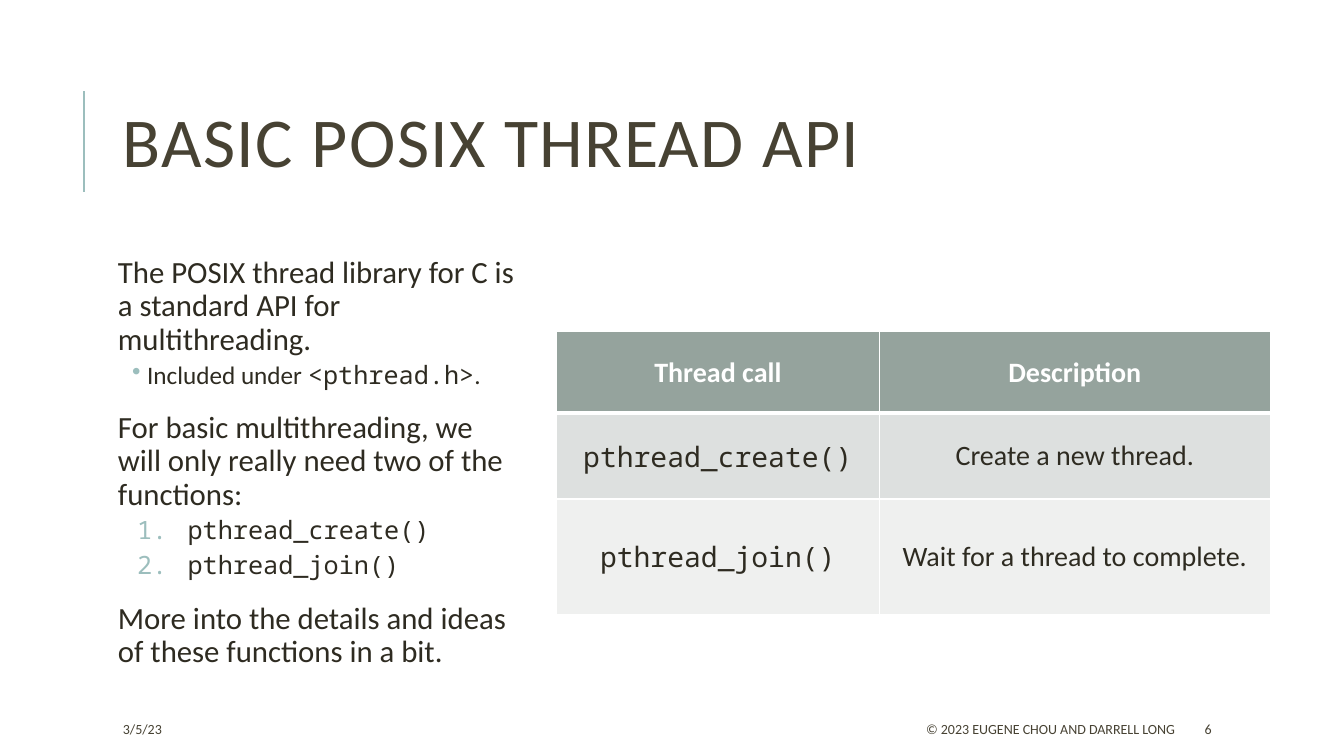
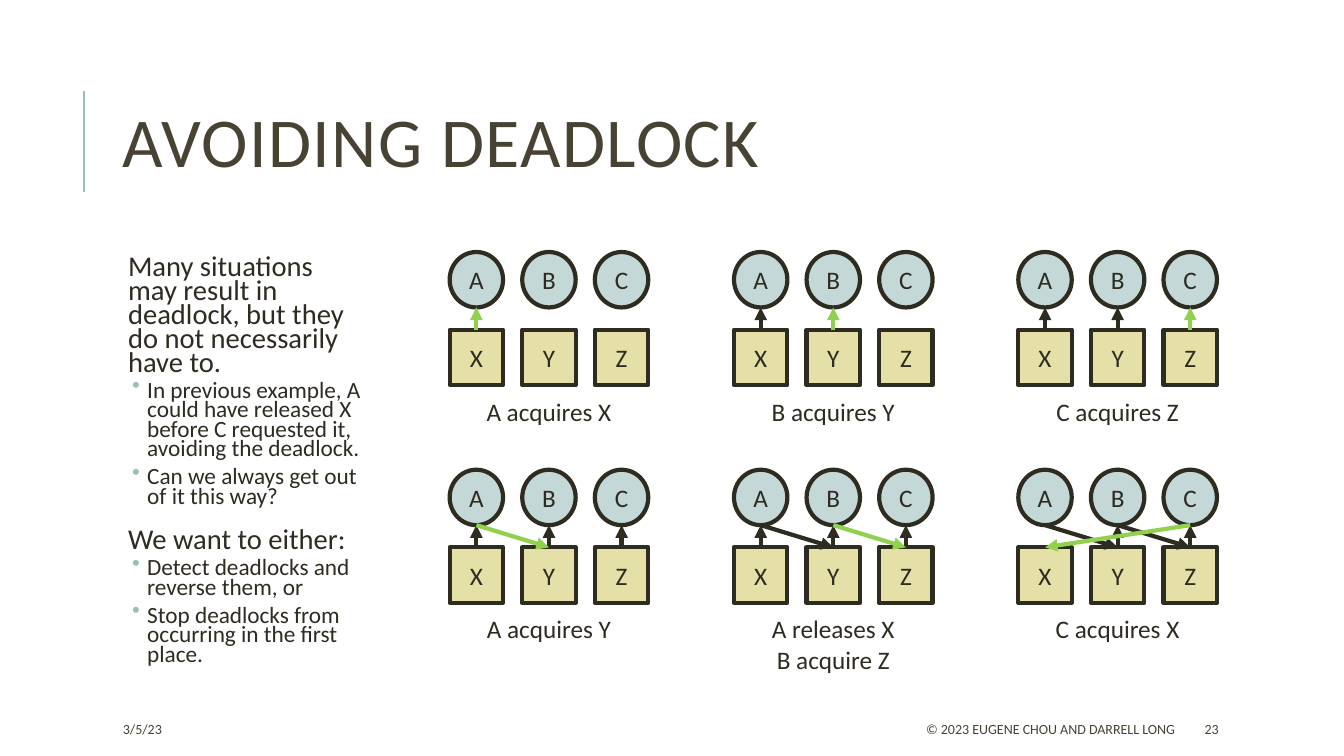
from dataclasses import dataclass
from typing import Any

from lxml.etree import SubElement
from pptx import Presentation
from pptx.dml.color import RGBColor
from pptx.enum.shapes import MSO_CONNECTOR, MSO_SHAPE
from pptx.enum.text import MSO_ANCHOR, PP_ALIGN
from pptx.oxml.ns import qn
from pptx.presentation import Presentation as Deck
from pptx.slide import Slide
from pptx.text.text import TextFrame
from pptx.util import Inches, Pt

LEFT, CENTER, RIGHT = PP_ALIGN.LEFT, PP_ALIGN.CENTER, PP_ALIGN.RIGHT
TOP, MIDDLE = MSO_ANCHOR.TOP, MSO_ANCHOR.MIDDLE
OVAL, RECTANGLE = MSO_SHAPE.OVAL, MSO_SHAPE.RECTANGLE
STRAIGHT = MSO_CONNECTOR.STRAIGHT


@dataclass(frozen=True)
class Theme:
    sans: str = "Calibri"
    mono: str = "Noto Sans Mono"
    ink: RGBColor = RGBColor.from_string("2E2B21")
    heading: RGBColor = RGBColor.from_string("474233")
    accent: RGBColor = RGBColor.from_string("9CBEBD")
    white: RGBColor = RGBColor.from_string("FFFFFF")
    thread: RGBColor = RGBColor.from_string("C4D8D7")
    resource: RGBColor = RGBColor.from_string("E4E0A7")
    new_edge: RGBColor = RGBColor.from_string("92D050")
    table_rows: tuple[RGBColor, ...] = tuple(
        RGBColor.from_string(value) for value in ("95A39D", "DDE0DF", "EFF0EF"))
    title_size: float = 50
    table_size: float = 20
    label_size: float = 18
    footer_size: float = 10


THEME = Theme()


@dataclass(frozen=True)
class Span:
    text: str
    mono: bool = False


@dataclass(frozen=True)
class Line:
    """A body paragraph; marker is "", "•" or "1."."""
    spans: tuple[Span, ...]
    marker: str = ""


@dataclass(frozen=True)
class BodyStyle:
    width: float
    spacing: float
    main_size: float
    sub_size: float
    main_indent: float = 0


@dataclass(frozen=True)
class Panel:
    """Edges are pairs of node letters, from and to."""
    held: tuple[str, ...]
    new: str
    captions: tuple[str, ...]


HANGING = {"•": (0.29, -0.15), "1.": (0.69, -0.5)}
API_STYLE = BodyStyle(width=4.04, spacing=0.9, main_size=22, sub_size=18)
DEADLOCK_STYLE = BodyStyle(2.52, 0.7, 20.4, 16.6, main_indent=0.1)

API_LINES = (
    Line((Span("The POSIX thread library for C is a standard API for multithreading."),)),
    Line((Span("Included under "), Span("<pthread.h>", True), Span(".")), "•"),
    Line((Span("For basic multithreading, we will only really need two of the functions:"),)),
    Line((Span("pthread_create()", True),), "1."),
    Line((Span("pthread_join()", True),), "1."),
    Line((Span("More into the details and ideas of these functions in a bit."),)),
)
DEADLOCK_LINES = (
    Line((Span("Many situations may result in deadlock, but they do not necessarily have to."),)),
    Line((Span("In previous example, A could have released X before C requested it, "
               "avoiding the deadlock."),), "•"),
    Line((Span("Can we always get out of it this way?"),), "•"),
    Line((Span("We want to either:"),)),
    Line((Span("Detect deadlocks and reverse them, or"),), "•"),
    Line((Span("Stop deadlocks from occurring in the first place."),), "•"),
)
CALLS = (
    (Span("Thread call"), Span("Description")),
    (Span("pthread_create()", True), Span("Create a new thread.")),
    (Span("pthread_join()", True), Span("Wait for a thread to complete.")),
)
CALL_COLUMNS = (3.2, 3.88)
CALL_ROWS = (0.81, 0.85, 1.15)

THREADS, RESOURCES = "ABC", "XYZ"
PANELS = (
    Panel((), "XA", ("A acquires X",)),
    Panel(("XA",), "YB", ("B acquires Y",)),
    Panel(("XA", "YB"), "ZC", ("C acquires Z",)),
    Panel(("XA", "YB", "ZC"), "AY", ("A acquires Y",)),
    Panel(("XA", "YB", "ZC", "AY"), "BZ", ("A releases X", "B acquire Z")),
    Panel(("YB", "ZC", "AY", "BZ"), "CX", ("C acquires X",)),
)
PANELS_PER_ROW = 3
PANEL_LEFT, PANEL_TOP = 4.46, 2.5
PANEL_STEP_X, PANEL_STEP_Y = 2.82, 2.16
NODE_WIDTH, NODE_HEIGHT, NODE_STEP = 0.53, 0.55, 0.72
RESOURCE_DROP, CAPTION_DROP, CAPTION_WIDTH = 0.77, 1.38, 1.8


def assign(target: Any, values: dict[str, Any]) -> None:
    for name, value in values.items():
        setattr(target, name, value)


def add_span(para: Any, span: Span, size: float, color: RGBColor, bold: bool = False) -> Any:
    run = para.add_run()
    run.text = span.text
    assign(run.font, {"name": THEME.mono if span.mono else THEME.sans,
                      "size": Pt(size), "bold": bold})
    run.font.color.rgb = color
    return run


def add_box(slide: Slide, left: float, top: float, width: float, height: float,
            anchor: MSO_ANCHOR = MIDDLE) -> TextFrame:
    box = slide.shapes.add_textbox(Inches(left), Inches(top), Inches(width), Inches(height))
    assign(box.text_frame, {"word_wrap": True, "vertical_anchor": anchor})
    return box.text_frame


def add_line(slide: Slide, start: tuple[float, float], end: tuple[float, float],
             color: RGBColor, width: float, arrow: bool = False) -> None:
    line = slide.shapes.add_connector(
        STRAIGHT, *(Inches(value) for value in (*start, *end)))
    line.line.color.rgb = color
    line.line.width = Pt(width)
    if arrow:
        SubElement(line.line._get_or_add_ln(), qn("a:tailEnd"), type="triangle")
    SubElement(line._element.spPr, qn("a:effectLst"))


def add_page(deck: Deck, title: str, number: int) -> Slide:
    slide = deck.slides.add_slide(deck.slide_layouts[6])
    add_line(slide, (0.83, 1.9), (0.83, 0.9), THEME.accent, 1.5)
    para = add_box(slide, 1.12, 0.64, 10.63, 1.64).paragraphs[0]
    para.line_spacing = 0.8
    run = add_span(para, Span(title), THEME.title_size, THEME.heading)
    run.font._element.set("spc", "100")
    footers = (
        ("3/5/23", 1.12, 2.36, LEFT),
        ("© 2023 EUGENE CHOU AND DARRELL LONG", 5.3, 6.45, RIGHT),
        (str(number), 11.85, 1.06, LEFT),
    )
    for text, left, width, alignment in footers:
        para = add_box(slide, left, 7.08, width, 0.3).paragraphs[0]
        para.alignment = alignment
        add_span(para, Span(text), THEME.footer_size, THEME.heading)
    return slide


def add_marker(para: Any, marker: str, indent: float) -> None:
    """Set the paragraph's indents and its bullet or number."""
    properties = para._p.get_or_add_pPr()
    margin, hanging = HANGING.get(marker, (indent, 0))
    properties.set("marL", str(Inches(margin)))
    properties.set("indent", str(Inches(hanging)))
    if not marker:
        SubElement(properties, qn("a:buNone"))
        return
    color = SubElement(properties, qn("a:buClr"))
    SubElement(color, qn("a:srgbClr"), val=str(THEME.accent))
    if marker == "•":
        SubElement(properties, qn("a:buChar"), char=marker)
    else:
        SubElement(properties, qn("a:buAutoNum"), type="arabicPeriod")


def add_body(slide: Slide, lines: tuple[Line, ...], style: BodyStyle) -> None:
    frame = add_box(slide, 1.12, 2.5, style.width, 4.4, TOP)
    sides = ("left", "top", "right", "bottom")
    assign(frame, {f"margin_{side}": Inches(0.05) for side in sides})
    for index, line in enumerate(lines):
        para = frame.add_paragraph() if index else frame.paragraphs[0]
        add_marker(para, line.marker, style.main_indent)
        before, after = (2, 4) if line.marker else (12, 2)
        assign(para, {"line_spacing": style.spacing, "space_after": Pt(after),
                      "space_before": Pt(before if index else 0)})
        size = style.sub_size if line.marker else style.main_size
        for span in line.spans:
            add_span(para, span, size, THEME.ink)


def add_borders(cell: Any, widths: dict[str, float]) -> None:
    properties = cell._tc.get_or_add_tcPr()
    for side, width in widths.items():
        border = SubElement(properties, qn(f"a:ln{side}"), w=str(Pt(width)))
        fill = SubElement(border, qn("a:solidFill"))
        SubElement(fill, qn("a:srgbClr"), val=str(THEME.white))


def add_call_table(slide: Slide) -> None:
    table = slide.shapes.add_table(
        len(CALL_ROWS), len(CALL_COLUMNS), Inches(5.52), Inches(3.29),
        Inches(sum(CALL_COLUMNS)), Inches(sum(CALL_ROWS))).table
    for column, width in zip(table.columns, CALL_COLUMNS):
        column.width = Inches(width)
    for index, (row, height, spans) in enumerate(zip(table.rows, CALL_ROWS, CALLS)):
        row.height = Inches(height)
        header = index == 0
        for cell, span in zip(row.cells, spans):
            add_borders(cell, {"L": 1, "R": 1, "T": 3 if index == 1 else 1,
                               "B": 3 if header else 1})
            cell.fill.solid()
            cell.fill.fore_color.rgb = THEME.table_rows[index]
            cell.vertical_anchor = MIDDLE
            para = cell.text_frame.paragraphs[0]
            para.alignment = CENTER
            add_span(para, span, THEME.table_size,
                     THEME.white if header else THEME.ink, header)


def add_node(slide: Slide, kind: MSO_SHAPE, label: str, left: float, top: float,
             color: RGBColor) -> None:
    node = slide.shapes.add_shape(
        kind, Inches(left), Inches(top), Inches(NODE_WIDTH), Inches(NODE_HEIGHT))
    node.shadow.inherit = False
    node.fill.solid()
    node.fill.fore_color.rgb = color
    node.line.color.rgb = THEME.ink
    node.line.width = Pt(3)
    node.text_frame.vertical_anchor = MIDDLE
    para = node.text_frame.paragraphs[0]
    para.alignment = CENTER
    add_span(para, Span(label), THEME.label_size, THEME.ink)


def add_panel(slide: Slide, panel: Panel, left: float, top: float) -> None:
    """Draw threads above resources, the edges between them and a caption."""
    ports: dict[str, tuple[float, float]] = {}
    for index, (thread, resource) in enumerate(zip(THREADS, RESOURCES)):
        node_left = left + index * NODE_STEP
        center = node_left + NODE_WIDTH / 2
        add_node(slide, OVAL, thread, node_left, top, THEME.thread)
        add_node(slide, RECTANGLE, resource, node_left, top + RESOURCE_DROP, THEME.resource)
        ports[thread] = (center, top + NODE_HEIGHT)
        ports[resource] = (center, top + RESOURCE_DROP)
    for start, end in (*panel.held, panel.new):
        color = THEME.new_edge if start + end == panel.new else THEME.ink
        add_line(slide, ports[start], ports[end], color, 3, arrow=True)
    middle = left + NODE_STEP + NODE_WIDTH / 2
    frame = add_box(slide, middle - CAPTION_WIDTH / 2, top + CAPTION_DROP,
                    CAPTION_WIDTH, 0.1 + 0.3 * len(panel.captions), TOP)
    for index, caption in enumerate(panel.captions):
        para = frame.add_paragraph() if index else frame.paragraphs[0]
        para.alignment = CENTER
        add_span(para, Span(caption), THEME.label_size, THEME.ink)


def main() -> None:
    deck = Presentation()
    assign(deck, {"slide_width": Inches(13.33), "slide_height": Inches(7.5)})

    api_slide = add_page(deck, "BASIC POSIX THREAD API", 6)
    add_call_table(api_slide)
    add_body(api_slide, API_LINES, API_STYLE)

    deadlock_slide = add_page(deck, "AVOIDING DEADLOCK", 23)
    add_body(deadlock_slide, DEADLOCK_LINES, DEADLOCK_STYLE)
    for index, panel in enumerate(PANELS):
        row, column = divmod(index, PANELS_PER_ROW)
        add_panel(deadlock_slide, panel, PANEL_LEFT + column * PANEL_STEP_X,
                  PANEL_TOP + row * PANEL_STEP_Y)

    deck.save("out.pptx")


if __name__ == "__main__":
    main()
